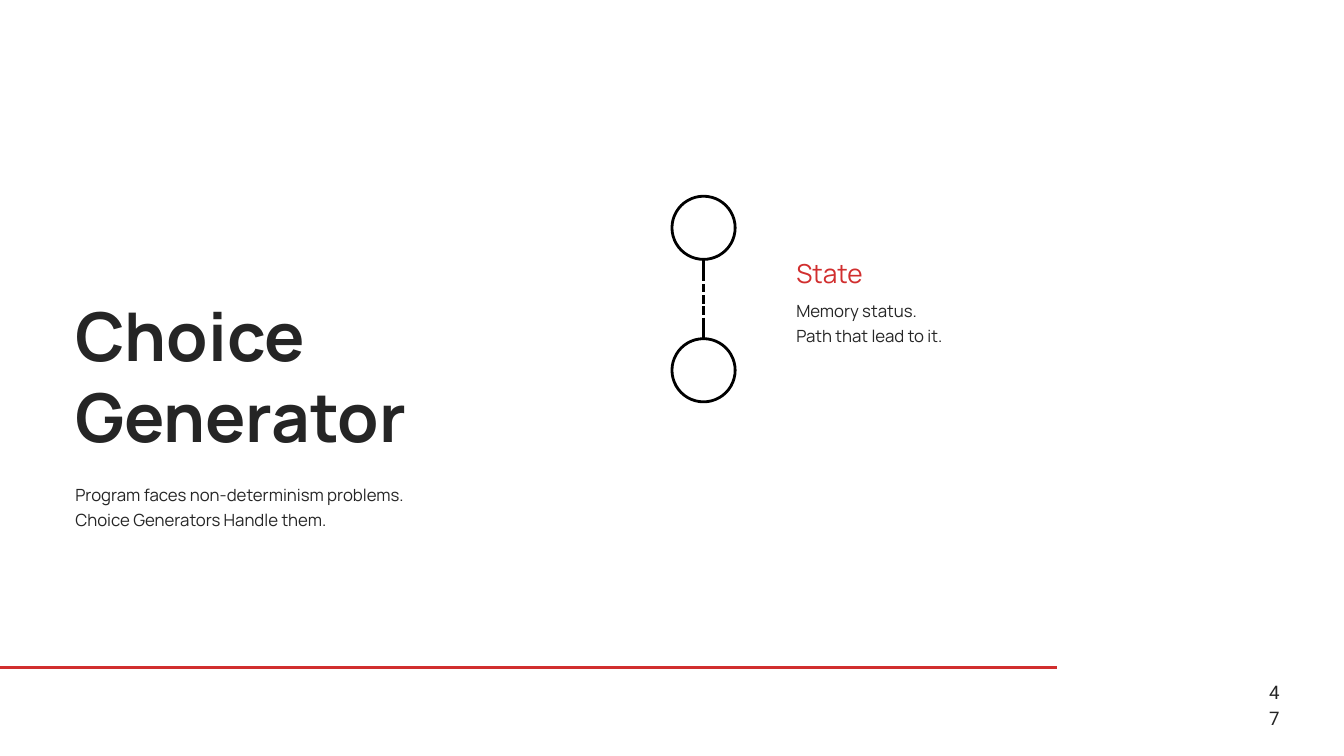
from lxml import etree
from pptx import Presentation
from pptx.dml.color import RGBColor
from pptx.enum import dml, shapes, text
from pptx.oxml.ns import qn
from pptx.util import Inches, Pt

RED = "D12E2E"
DARK = "252525"
BLACK = "000000"
LEFT = text.PP_ALIGN.LEFT
JUSTIFY = text.PP_ALIGN.JUSTIFY
CENTER = text.PP_ALIGN.CENTER


def paint(color_format, value):
    color_format.rgb = RGBColor.from_string(value)


def place(sp, x, y, w, h):
    sp.left, sp.top, sp.width, sp.height = (Inches(v) for v in (x, y, w, h))


def write(sp, lines, size, leading, align=LEFT, color=DARK, font="Manrope", bold=False):
    tf = sp.text_frame
    tf.word_wrap = True
    tf.auto_size = text.MSO_AUTO_SIZE.NONE
    tf.vertical_anchor = text.MSO_ANCHOR.TOP
    tf.margin_left = tf.margin_top = tf.margin_right = tf.margin_bottom = 0
    for i, line in enumerate(lines):
        p = tf.add_paragraph() if i else tf.paragraphs[0]
        if sp.is_placeholder:
            pPr = p._p.get_or_add_pPr()
            pPr.set("marL", "0")
            pPr.set("indent", "0")
            etree.SubElement(pPr, qn("a:buNone"))
        p.alignment = align
        p.line_spacing = Pt(leading)
        p.space_before = p.space_after = Pt(0)
        r = p.add_run()
        r.text = line
        r.font.name = font
        r.font.size = Pt(size)
        r.font.bold = bold
        paint(r.font.color, color)


def add_text(s, box, *args, **kwargs):
    sp = s.shapes.add_textbox(*(Inches(v) for v in box))
    write(sp, *args, **kwargs)


def add_line(s, x1, y1, x2, y2, color, dash=None):
    line = s.shapes.add_connector(
        shapes.MSO_CONNECTOR.STRAIGHT, Inches(x1), Inches(y1), Inches(x2), Inches(y2))
    line.line.width = Pt(3)
    paint(line.line.color, color)
    if dash:
        line.line.dash_style = dash
    etree.SubElement(line._element.spPr, qn("a:effectLst"))


def add_state(s, cx, top, size):
    sp = s.shapes.add_shape(
        shapes.MSO_SHAPE.OVAL, Inches(cx - size / 2), Inches(top), Inches(size), Inches(size))
    sp.shadow.inherit = False
    sp.fill.background()
    sp.line.width = Pt(3)
    paint(sp.line.color, BLACK)


def add_path(s, cx, top, bottom, size):
    add_state(s, cx, top, size)
    add_line(s, cx, top + size, cx, 4.06, BLACK)
    add_line(s, cx, 4.79, cx, bottom, BLACK)
    add_line(s, cx, 4.06, cx, 4.87, BLACK, dml.MSO_LINE.SQUARE_DOT)
    add_state(s, cx, bottom, size)


def main():
    prs = Presentation()
    prs.slide_width, prs.slide_height = Inches(20), Inches(11.25)
    s = prs.slides.add_slide(prs.slide_layouts[3])
    title, summary, details = s.placeholders

    add_line(s, 0, 9.93, 15.73, 9.93, RED)
    add_path(s, 10.47, 2.92, 5.04, 0.94)

    place(title, 1.12, 4.38, 6.74, 2.47)
    write(title, ["Choice", "Generator"], 72, 86.4, bold=True)
    place(summary, 1.12, 7.14, 5.48, 0.76)
    write(summary, ["Program faces non-determinism problems.",
                    "Choice Generators Handle them."], 18, 27, JUSTIFY)
    add_text(s, (11.85, 3.79, 3.65, 0.52), ["State"], 28, 36.4, color=RED)
    place(details, 11.85, 4.4, 2.64, 0.76)
    write(details, ["Memory status.", "Path that lead to it."], 18, 27, JUSTIFY)
    add_text(s, (18.88, 10.07, 0.17, 0.22), ["47"], 20, 28, CENTER, font="Roboto")

    prs.save("out.pptx")


if __name__ == "__main__":
    main()
